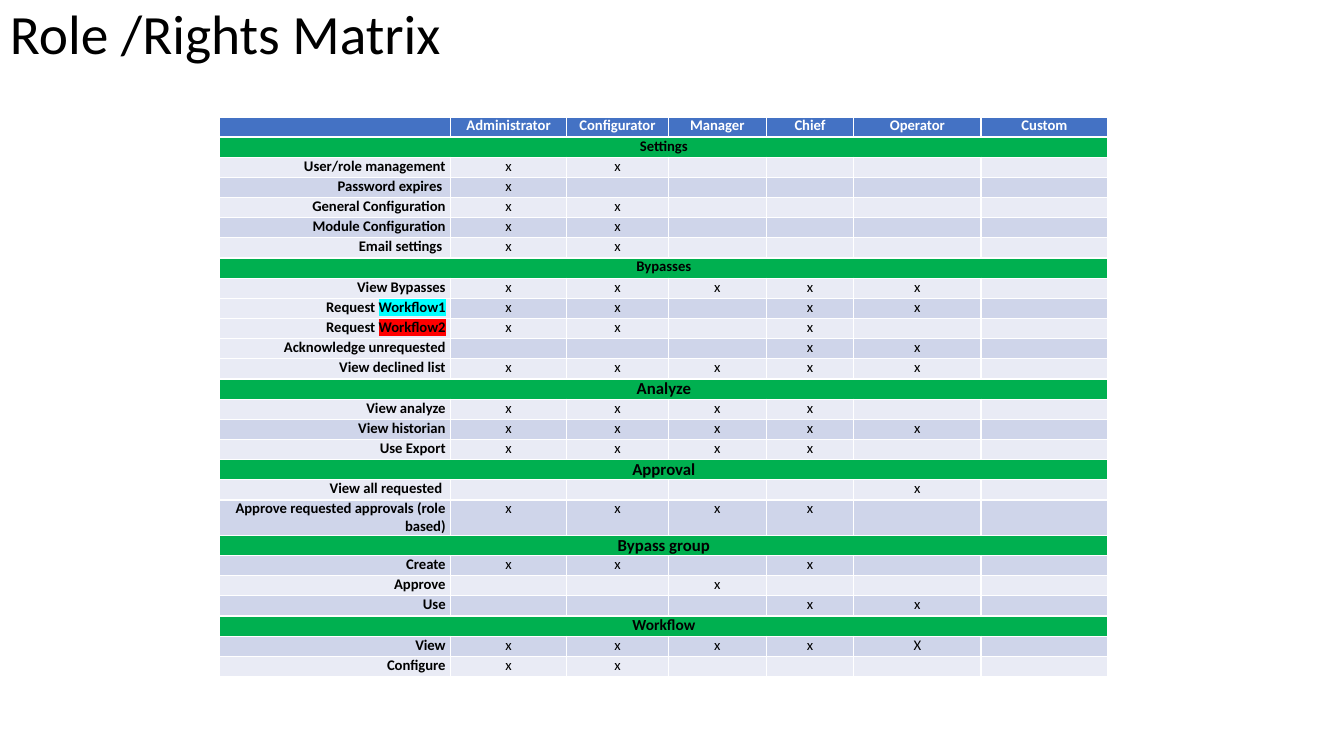
import lxml.etree
import pptx
import pptx.dml.color
import pptx.enum.text
import pptx.oxml.ns
import pptx.util

Inches = pptx.util.Inches
Pt = pptx.util.Pt
ALIGN = pptx.enum.text.PP_ALIGN

FONT = "Calibri"
BODY_SIZE = 10.5
COLORS = {
    "text": "000000",
    "header": "4472C4",
    "header_text": "FFFFFF",
    "section": "00B050",
    "light": "E9EBF5",
    "dark": "CFD5EA",
    "cyan": "00FFFF",
    "red": "FF0000",
}

ROLES = ["Administrator", "Configurator", "Manager", "Chief", "Operator", "Custom"]
COLUMN_WIDTHS = [2.29, 1.15, 1.01, 0.97, 0.87, 1.26, 1.26]
ROW_HEIGHT = 0.2

# Section title, title size, and rights with one mark per role
SECTIONS = [
    ("Settings", BODY_SIZE, [
        ("User/role management", "xx----"),
        ("Password expires ", "x-----"),
        ("General Configuration", "xx----"),
        ("Module Configuration", "xx----"),
        ("Email settings ", "xx----"),
    ]),
    ("Bypasses", BODY_SIZE, [
        ("View Bypasses", "xxxxx-"),
        ("Request Workflow1", "xx-xx-"),
        ("Request Workflow2", "xx-x--"),
        ("Acknowledge unrequested", "---xx-"),
        ("View declined list", "xxxxx-"),
    ]),
    ("Analyze", 12, [
        ("View analyze", "xxxx--"),
        ("View historian", "xxxxx-"),
        ("Use Export", "xxxx--"),
    ]),
    ("Approval", 12, [
        ("View all requested ", "----x-"),
        ("Approve requested approvals (role based)", "xxxx--"),
    ]),
    ("Bypass group", 12, [
        ("Create", "xx-x--"),
        ("Approve", "--x---"),
        ("Use", "---xx-"),
    ]),
    ("Workflow", 11, [
        ("View", "xxxxX-"),
        ("Configure", "xx----"),
    ]),
]
HIGHLIGHTS = {"Workflow1": "cyan", "Workflow2": "red"}


def rgb(name):
    return pptx.dml.color.RGBColor.from_string(COLORS[name])


def style_paragraph(paragraph, size, color="text", bold=False, align=ALIGN.CENTER):
    paragraph.alignment = align
    paragraph.font.name = FONT
    paragraph.font.size = Pt(size)
    paragraph.font.bold = bold
    paragraph.font.color.rgb = rgb(color)


def highlight_run(run, color):
    properties = run._r.get_or_add_rPr()
    highlight = lxml.etree.SubElement(properties, pptx.oxml.ns.qn("a:highlight"))
    lxml.etree.SubElement(highlight, pptx.oxml.ns.qn("a:srgbClr"), val=COLORS[color])


def fill_cell(cell, text, fill, size=BODY_SIZE, **style):
    cell.margin_left = cell.margin_right = Inches(0.05)
    cell.margin_top = cell.margin_bottom = 0
    cell.fill.solid()
    cell.fill.fore_color.rgb = rgb(fill)
    paragraph = cell.text_frame.paragraphs[0]
    style_paragraph(paragraph, size, **style)
    if not text:
        # An empty cell takes its line height from the end mark
        lxml.etree.SubElement(paragraph._p, pptx.oxml.ns.qn("a:endParaRPr"),
                              sz=str(int(size * 100)))
        return
    start, space, last_word = text.rpartition(" ")
    if last_word in HIGHLIGHTS:
        paragraph.add_run().text = start + space
        run = paragraph.add_run()
        run.text = last_word
        highlight_run(run, HIGHLIGHTS[last_word])
    else:
        paragraph.add_run().text = text


def add_title(slide, text):
    shape = slide.shapes.add_textbox(0, 0, Inches(11.5), Inches(0.72))
    frame = shape.text_frame
    frame.word_wrap = True
    frame.vertical_anchor = pptx.enum.text.MSO_ANCHOR.MIDDLE
    paragraph = frame.paragraphs[0]
    paragraph.text = text
    paragraph.line_spacing = 0.9
    style_paragraph(paragraph, 39.6, align=ALIGN.LEFT)


def add_section_row(table, row, title, size):
    for column in range(len(COLUMN_WIDTHS)):
        fill_cell(table.cell(row, column), "" if column else title, "section", size, bold=True)
    table.cell(row, 0).merge(table.cell(row, len(COLUMN_WIDTHS) - 1))


def add_right_row(table, row, label, marks):
    band = "dark" if row % 2 else "light"
    # Labels in the Bypasses section are not banded
    label_fill = "light" if label in ("Request Workflow1", "Acknowledge unrequested") else band
    fill_cell(table.cell(row, 0), label, label_fill, bold=True, align=ALIGN.RIGHT)
    for column, mark in enumerate(marks, 1):
        fill_cell(table.cell(row, column), mark.strip("-"), band)


def add_matrix(slide):
    row_count = 1 + sum(1 + len(rights) for _, _, rights in SECTIONS)
    table = slide.shapes.add_table(
        row_count, len(COLUMN_WIDTHS), Inches(2.18), Inches(1.16),
        Inches(sum(COLUMN_WIDTHS)), Inches(ROW_HEIGHT * row_count)).table
    for column, width in zip(table.columns, COLUMN_WIDTHS):
        column.width = Inches(width)
    for table_row in table.rows:
        table_row.height = Inches(ROW_HEIGHT)

    # Header
    for column, role in enumerate([""] + ROLES):
        fill_cell(table.cell(0, column), role, "header", color="header_text", bold=True)

    # Sections and their rights
    row = 1
    for title, size, rights in SECTIONS:
        add_section_row(table, row, title, size)
        for row, (label, marks) in enumerate(rights, row + 1):
            add_right_row(table, row, label, marks)
        row += 1


def main():
    presentation = pptx.Presentation()
    presentation.slide_width = Inches(13.33)
    presentation.slide_height = Inches(7.5)
    slide = presentation.slides.add_slide(presentation.slide_layouts[6])
    add_title(slide, "Role /Rights Matrix")
    add_matrix(slide)
    presentation.save("out.pptx")


if __name__ == "__main__":
    main()
